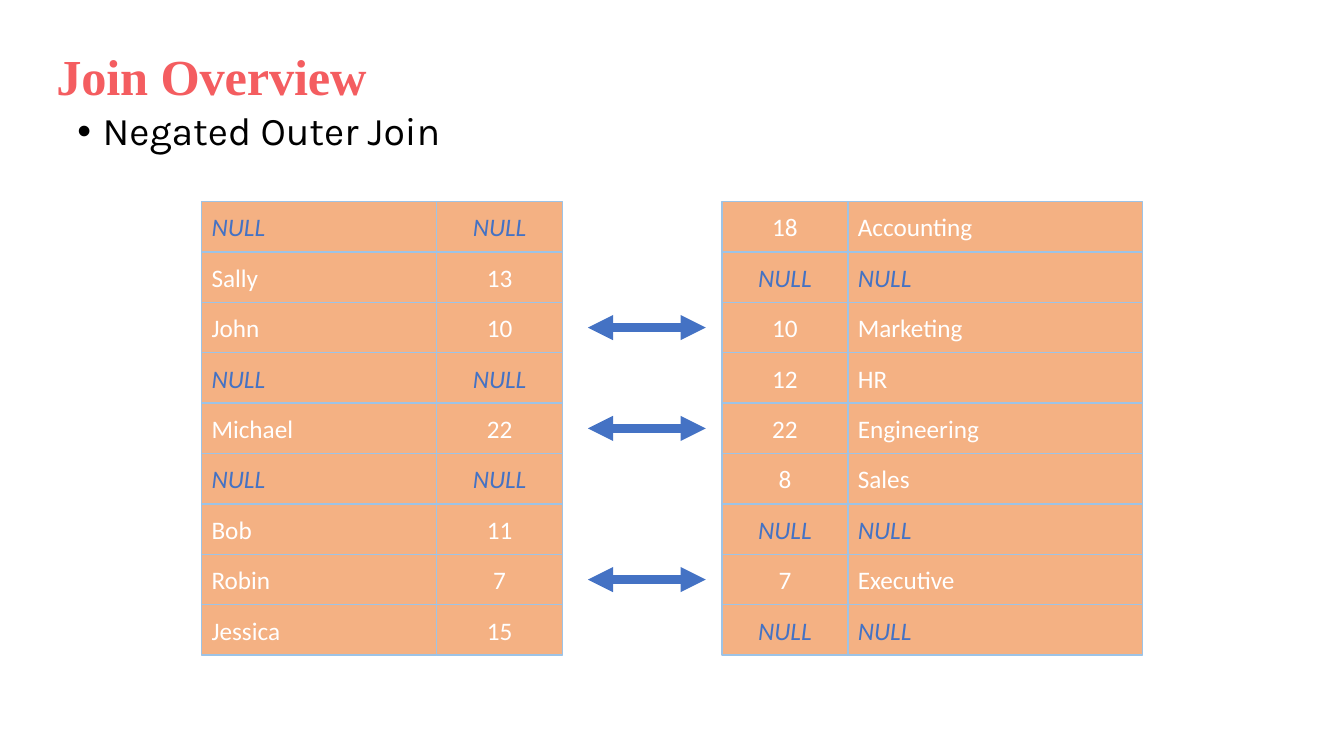
from lxml.etree import SubElement as Sub
from pptx import Presentation
from pptx.dml.color import RGBColor as RGB
from pptx.enum.shapes import MSO_CONNECTOR as Link, MSO_SHAPE as Shape
from pptx.enum.text import MSO_ANCHOR as Anchor, PP_ALIGN as Align
from pptx.oxml.ns import qn
from pptx.util import Inches, Pt

HUES = {"title": "F45D60", "body": "000000", "cell": "F4B183",
        "edge": "9DC3E6", "text": "FFFFFF", "null": "4472C4"}
TOP, ROW = 2, 0.5
KEY = 1.25  # width of the column both tables are joined on

# name, staff key, team key, team
ROWS = [
    ("NULL", "NULL", "18", "Accounting"),
    ("Sally", "13", "NULL", "NULL"),
    ("John", "10", "10", "Marketing"),
    ("NULL", "NULL", "12", "HR"),
    ("Michael", "22", "22", "Engineering"),
    ("NULL", "NULL", "8", "Sales"),
    ("Bob", "11", "NULL", "NULL"),
    ("Robin", "7", "7", "Executive"),
    ("Jessica", "15", "NULL", "NULL"),
]
# left, width, alignment
COLS = [(2, 2.33, Align.LEFT), (4.33, KEY, Align.CENTER),
        (7.16, KEY, Align.CENTER), (8.41, 2.92, Align.LEFT)]


def write(shape, text, hue, size=18, face="Calibri", bold=False, italic=False,
          align=Align.LEFT, anchor=Anchor.TOP, bullet=False, track=0):
    """Fill a shape with one formatted paragraph; track is in 1/100 pt."""
    frame = shape.text_frame
    frame.word_wrap = True
    frame.vertical_anchor = anchor
    para = frame.paragraphs[0]
    para.alignment = align
    if bullet:
        para.line_spacing = 0.9
        props = para._p.get_or_add_pPr()
        props.set("marL", str(Inches(0.25)))
        props.set("indent", str(Inches(-0.25)))
        Sub(props, qn("a:buFont"), typeface="Arial")
        Sub(props, qn("a:buChar"), char="•")
    run = para.add_run()
    run.text = text
    font = run.font
    font.size, font.name = Pt(size), face
    font.bold, font.italic = bold, italic
    font.color.rgb = RGB.from_string(HUES[hue])
    if track:
        run._r.get_or_add_rPr().set("spc", str(track))


deck = Presentation()
deck.slide_width, deck.slide_height = Inches(13.33), Inches(7.5)
slide = deck.slides.add_slide(deck.slide_layouts[6])
shapes = slide.shapes

body = shapes.add_textbox(Inches(0.67), Inches(1.06), Inches(11.5), Inches(0.6))
write(body, "Negated Outer Join", "body", size=28, face="Karla", bullet=True)

for num, row in enumerate(ROWS):
    top = TOP + num * ROW
    for text, (left, width, align) in zip(row, COLS):
        cell = shapes.add_shape(Shape.RECTANGLE, Inches(left), Inches(top),
                                Inches(width), Inches(ROW))
        cell.shadow.inherit = False
        cell.fill.solid()
        cell.fill.fore_color.rgb = RGB.from_string(HUES["cell"])
        cell.line.color.rgb = RGB.from_string(HUES["edge"])
        cell.line.width = Pt(1)
        null = text == "NULL"
        write(cell, text, "null" if null else "text", italic=null,
              align=align, anchor=Anchor.MIDDLE)

    if row[1] == row[2]:
        mid = Inches(top + ROW / 2)
        arrow = shapes.add_connector(Link.STRAIGHT, Inches(5.83), mid, Inches(7), mid)
        arrow.line.color.rgb = RGB.from_string(HUES["null"])
        arrow.line.width = Pt(6)
        line = arrow.line._get_or_add_ln()
        for end in ("a:headEnd", "a:tailEnd"):
            Sub(line, qn(end), type="triangle")
        Sub(arrow._element.spPr, qn("a:effectLst"))

title = shapes.add_textbox(Inches(0.46), Inches(0.4), Inches(6.68), Inches(0.71))
write(title, "Join Overview", "title", size=36, face="Times New Roman",
      bold=True, track=-10)

deck.save("out.pptx")
